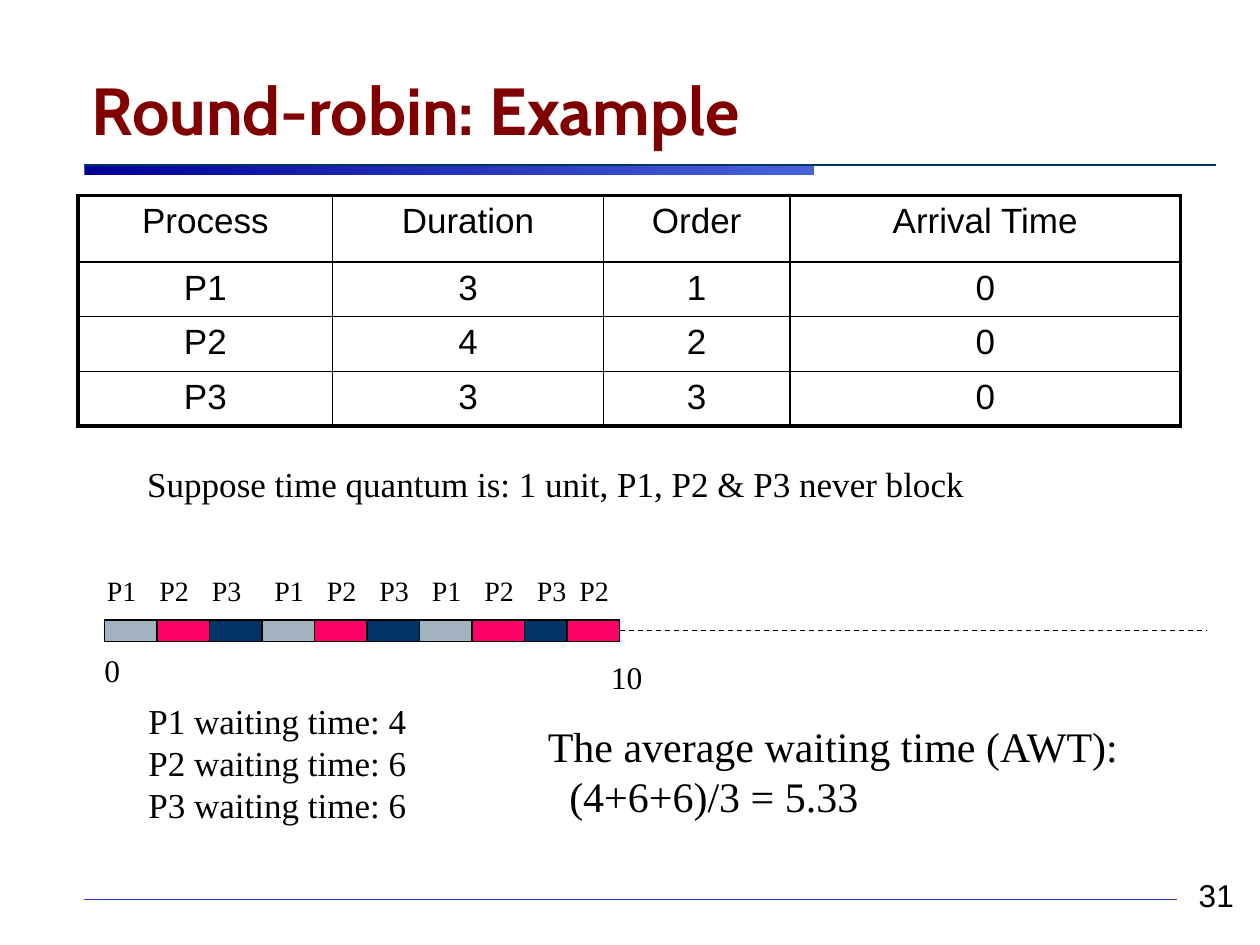
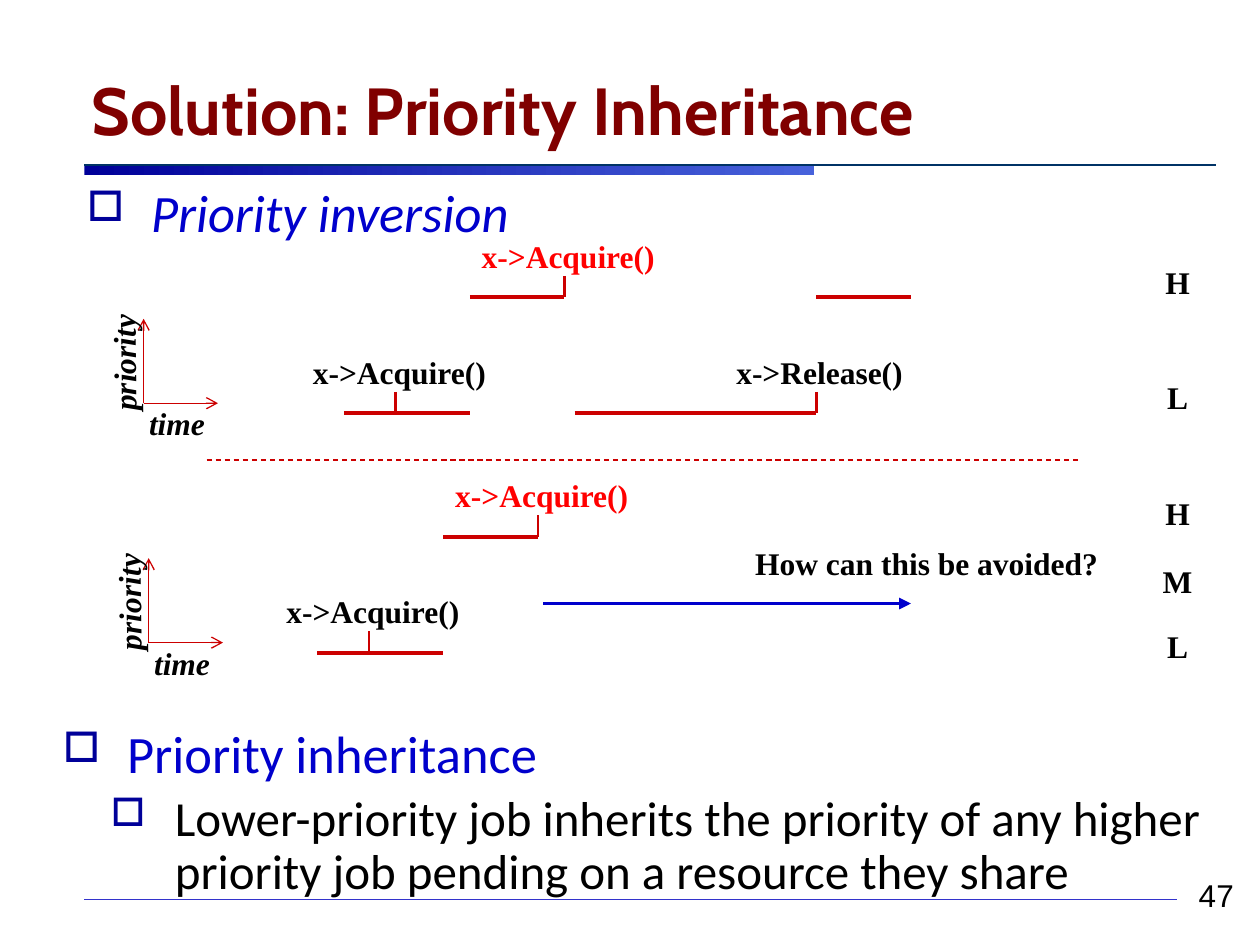
from typing import NamedTuple

from lxml import etree
from pptx import Presentation
from pptx import util as u
from pptx.dml.color import RGBColor
from pptx.enum import dml, shapes, text
from pptx.oxml.ns import qn

BLACK, MAROON, NAVY = "000000", "800000", "003366"
RED, BRIGHT_RED, BLUE, DEEP_BLUE = "CC0000", "FF0000", "0000CC", "000099"
SERIF, SANS, BODY, TITLE = "Times New Roman", "Arial", "Calibri", "Cabin"
LEFT, CENTER, RIGHT = text.PP_ALIGN.LEFT, text.PP_ALIGN.CENTER, text.PP_ALIGN.RIGHT
TOP, MIDDLE, BOTTOM = text.MSO_ANCHOR.TOP, text.MSO_ANCHOR.MIDDLE, text.MSO_ANCHOR.BOTTOM


class Style(NamedTuple):
    size: float
    font: str = SERIF
    color: str = BLACK
    bold: bool = False
    italic: bool = False


class Box(NamedTuple):
    left: float
    top: float
    width: float
    height: float

    def lengths(self) -> list:
        return [u.Inches(value) for value in self]


class Stroke(NamedTuple):
    x1: float
    y1: float
    x2: float
    y2: float
    width: float
    color: str = RED
    dashed: bool = False
    arrow: str = ""


class Label(NamedTuple):
    words: str
    box: Box
    style: Style
    align: text.PP_ALIGN = CENTER
    anchor: text.MSO_ANCHOR = MIDDLE
    rotation: float = 0


SMALL, NOTE, NUMBER, LARGE = Style(16), Style(20), Style(18), Style(24)
CALL = Style(18, bold=True)
BLOCKED_CALL = CALL._replace(color=BRIGHT_RED)
AXIS = CALL._replace(italic=True)


def rgb(value: str) -> RGBColor:
    return RGBColor.from_string(value)


def write(paragraph, words: str, style: Style, align=LEFT) -> None:
    paragraph.alignment = align
    run = paragraph.add_run()
    run.text = words
    font = run.font
    font.size, font.name = u.Pt(style.size), style.font
    font.bold, font.italic = style.bold, style.italic
    font.color.rgb = rgb(style.color)


def indent(paragraph, left: float, first: float = 0) -> None:
    properties = paragraph._p.get_or_add_pPr()
    properties.set("marL", str(u.Inches(left)))
    properties.set("indent", str(u.Inches(first)))


def add_bullet(paragraph, left: float) -> None:
    indent(paragraph, left, -0.51)
    properties = paragraph._p.get_or_add_pPr()
    color = etree.SubElement(properties, qn("a:buClr"))
    etree.SubElement(color, qn("a:srgbClr"), val=DEEP_BLUE)
    etree.SubElement(properties, qn("a:buSzPct"), val="80000")
    etree.SubElement(properties, qn("a:buChar"), char="□")


def add_frame(slide, box: Box, anchor=TOP, wrap: bool = True):
    shape = slide.shapes.add_textbox(*box.lengths())
    frame = shape.text_frame
    frame.word_wrap, frame.vertical_anchor = wrap, anchor
    if not wrap:
        frame.auto_size = text.MSO_AUTO_SIZE.SHAPE_TO_FIT_TEXT
    return shape


def add_label(slide, label: Label, wrap: bool = False) -> None:
    """Draw one paragraph per line of the label."""
    shape = add_frame(slide, label.box, label.anchor, wrap)
    shape.rotation = label.rotation
    frame = shape.text_frame
    for index, line in enumerate(label.words.split("\n")):
        paragraph = frame.add_paragraph() if index else frame.paragraphs[0]
        write(paragraph, line, label.style, label.align)


def add_note(slide, words: str, box: Box, style: Style) -> None:
    add_label(slide, Label(words, box, style, LEFT, TOP))


def add_stroke(slide, stroke: Stroke):
    ends = [u.Inches(value) for value in stroke[:4]]
    connector = slide.shapes.add_connector(shapes.MSO_CONNECTOR.STRAIGHT, *ends)
    connector.line.width = u.Pt(stroke.width)
    connector.line.color.rgb = rgb(stroke.color)
    if stroke.dashed:
        connector.line.dash_style = dml.MSO_LINE.DASH
    if stroke.arrow:
        etree.SubElement(connector.line._get_or_add_ln(), qn("a:tailEnd"), type=stroke.arrow)
    etree.SubElement(connector._element.spPr, qn("a:effectLst"))
    return connector


def add_rectangle(slide, box: Box):
    shape = slide.shapes.add_shape(shapes.MSO_SHAPE.RECTANGLE, *box.lengths())
    shape.shadow.inherit = False
    return shape


def add_slide(presentation, title: str, number: str):
    """Add a slide with the shared title, rules and page number."""
    slide = presentation.slides.add_slide(presentation.slide_layouts[6])
    band = add_rectangle(slide, Box(0.67, 1.31, 5.79, 0.08))
    band.line.fill.background()
    band.fill.gradient()
    band.fill.gradient_angle = 0
    for stop, color in zip(band.fill.gradient_stops, (DEEP_BLUE, "4762DB")):
        stop.color.rgb = rgb(color)
    add_stroke(slide, Stroke(0.67, 1.31, 9.65, 1.31, 0.75, NAVY))
    add_stroke(slide, Stroke(0.67, 7.14, 9.34, 7.14, 0.25, "3333CC"))
    add_label(slide, Label(number, Box(8.39, 6.9, 1.5, 0.4), Style(18, SANS), RIGHT, BOTTOM), True)
    title_style = Style(38, TITLE, MAROON, bold=True)
    add_label(slide, Label(title, Box(0.63, 0.33, 8.23, 0.9), title_style, LEFT, BOTTOM), True)
    return slide


def set_borders(cell, widths: dict[str, float]) -> None:
    """Set the border widths, keyed by side in the order L, R, T, B."""
    properties = cell._tc.get_or_add_tcPr()
    for index, (side, width) in enumerate(widths.items()):
        line = etree.Element(qn(f"a:ln{side}"), w=str(u.Pt(width)))
        fill = etree.SubElement(line, qn("a:solidFill"))
        etree.SubElement(fill, qn("a:srgbClr"), val=BLACK)
        properties.insert(index, line)


def add_process_table(slide) -> None:
    rows = [
        ("Process", "Duration", "Order", "Arrival Time"),
        ("P1", "3", "1", "0"),
        ("P2", "4", "2", "0"),
        ("P3", "3", "3", "0"),
    ]
    widths, heights = (2.02, 2.15, 1.48, 3.1), (0.53, 0.41, 0.41, 0.41)
    box = Box(0.62, 1.55, sum(widths), sum(heights))
    table = slide.shapes.add_table(len(rows), len(widths), *box.lengths()).table
    table.first_row = table.horz_banding = False
    for column, width in zip(table.columns, widths):
        column.width = u.Inches(width)
    for row, height in zip(table.rows, heights):
        row.height = u.Inches(height)
    last_row, last_column = len(rows) - 1, len(widths) - 1
    for r, row in enumerate(rows):
        for c, words in enumerate(row):
            cell = table.cell(r, c)
            cell.fill.background()
            write(cell.text_frame.paragraphs[0], words, Style(20, SANS), CENTER)
            outer = {"L": c == 0, "R": c == last_column, "T": r == 0, "B": r == last_row}
            set_borders(cell, {side: 2.25 if edge else 1 for side, edge in outer.items()})


def add_schedule(slide) -> None:
    """Draw the timeline of process slices and its dashed continuation."""
    colors = {"P1": "A3B2C1", "P2": "FF0066", "P3": NAVY}
    order = ["P1", "P2", "P3"] * 3 + ["P2"]
    step, top, height = 5 / 12, 4.92, 0.17
    lefts = [0.83 + step * index for index in range(9)] + [4.5]
    for index, (process, left) in enumerate(zip(order, lefts)):
        block = add_rectangle(slide, Box(left, top, step, height))
        block.fill.solid()
        block.fill.fore_color.rgb = rgb(colors[process])
        block.line.color.rgb = rgb(BLACK)
        block.line.width = u.Pt(0.75)
        shift = 0.08 if index < 3 else 0
        add_note(slide, process, Box(left - shift, 4.5, 0.47, 0.37), SMALL)
    middle = top + height / 2
    rest = add_stroke(slide, Stroke(lefts[-1] + step, middle, 9.58, middle, 0.75, BLACK, dashed=True))
    rest.begin_connect(block, 3)
    add_note(slide, "0", Box(0.73, 5.12, 0.34, 0.4), NUMBER)
    add_note(slide, "10", Box(4.75, 5.17, 0.48, 0.4), NUMBER)


def build_round_robin(presentation) -> None:
    slide = add_slide(presentation, "Round-robin: Example", "31")
    add_process_table(slide)
    add_note(slide, "Suppose time quantum is: 1 unit, P1, P2 & P3 never block",
             Box(1.07, 3.62, 6.73, 0.44), NOTE)
    add_schedule(slide)
    waits = {"P1": 4, "P2": 6, "P3": 6}
    lines = [f"{process} waiting time: {wait}" for process, wait in waits.items()]
    add_note(slide, "\n".join(lines), Box(1.08, 5.5, 2.27, 1.06), NOTE)
    average = add_frame(slide, Box(4.25, 5.67, 5.17, 0.9)).text_frame
    write(average.paragraphs[0], "The average waiting time (AWT):", LARGE)
    result = average.add_paragraph()
    indent(result, 0.17)
    write(result, "(4+6+6)/3 = 5.33", LARGE)


def add_axes(slide, x: float, y: float) -> None:
    """Draw the priority and time axes from their common origin."""
    add_stroke(slide, Stroke(x, y, x, y - 0.67, 0.75, arrow="arrow"))
    add_stroke(slide, Stroke(x, y, x + 0.59, y, 0.75, arrow="arrow"))
    add_label(slide, Label("priority", Box(x - 0.67, y - 0.52, 1.02, 0.4), AXIS, rotation=269.3))
    add_label(slide, Label("time", Box(x - 0.07, y - 0.04, 0.67, 0.4), AXIS))


def add_run_period(slide, start: float, end: float, y: float) -> None:
    add_stroke(slide, Stroke(start, y, end, y, 2.25))


def add_call(slide, words: str, x: float, y: float, left: float, width: float, style=CALL) -> None:
    """Mark a call at (x, y) on a run period, with its name above."""
    add_stroke(slide, Stroke(x, y - 0.17, x, y, 1.5))
    add_label(slide, Label(words, Box(left, y - 0.53, width, 0.4), style))


def add_lock_conflict(slide, x: float, y: float) -> None:
    """Draw L acquiring the lock from (x, y), then H blocking on it."""
    high = y - 0.92
    add_run_period(slide, x, x + 1, y)
    add_call(slide, "x->Acquire()", x + 0.41, y, x - 0.36, 1.6)
    add_run_period(slide, x + 1, x + 1.75, high)
    add_call(slide, "x->Acquire()", x + 1.75, high, x + 0.98, 1.6, BLOCKED_CALL)


def build_priority_inheritance(presentation) -> None:
    slide = add_slide(presentation, "Solution: Priority Inheritance", "47")
    heading = Style(30, BODY, BLUE)
    problem = add_frame(slide, Box(0.59, 1.38, 8.75, 0.6)).text_frame.paragraphs[0]
    add_bullet(problem, 0.51)
    write(problem, "Priority inversion", heading._replace(italic=True))

    add_axes(slide, 1.14, 3.2)
    add_lock_conflict(slide, 2.73, 3.28)
    add_run_period(slide, 4.56, 6.48, 3.28)
    add_call(slide, "x->Release()", 6.48, 3.28, 5.73, 1.55)
    add_run_period(slide, 6.48, 7.23, 2.36)

    add_stroke(slide, Stroke(1.64, 3.65, 8.56, 3.65, 0.75, dashed=True))

    add_axes(slide, 1.18, 5.1)
    add_lock_conflict(slide, 2.52, 5.18)
    add_stroke(slide, Stroke(4.31, 4.79, 7.23, 4.79, 2.25, BLUE, arrow="triangle"))
    add_label(slide, Label("How can this be avoided?", Box(5.88, 4.27, 2.95, 0.4), CALL))

    level_widths = {"H": 0.4, "M": 0.44, "L": 0.37}
    for level, top in (("H", 2.04), ("L", 2.95), ("H", 3.87), ("M", 4.41), ("L", 4.93)):
        width = level_widths[level]
        add_note(slide, level, Box(9.35 - width / 2, top, width, 0.4), CALL)

    solution = add_frame(slide, Box(0.4, 5.55, 9.41, 1.82)).text_frame
    name, rule = solution.paragraphs[0], solution.add_paragraph()
    name.line_spacing, rule.line_spacing = 1.25, 0.9
    rule.space_before = u.Pt(5.5)
    rule.level = 1
    add_bullet(name, 0.51)
    add_bullet(rule, 0.89)
    write(name, "Priority inheritance", heading)
    write(rule, "Lower-priority job inherits the priority of any higher priority job "
          "pending on a resource they share", Style(28, BODY))


def main() -> None:
    presentation = Presentation()
    presentation.slide_width, presentation.slide_height = u.Inches(10), u.Inches(7.5)
    build_round_robin(presentation)
    build_priority_inheritance(presentation)
    presentation.save("out.pptx")


if __name__ == "__main__":
    main()
